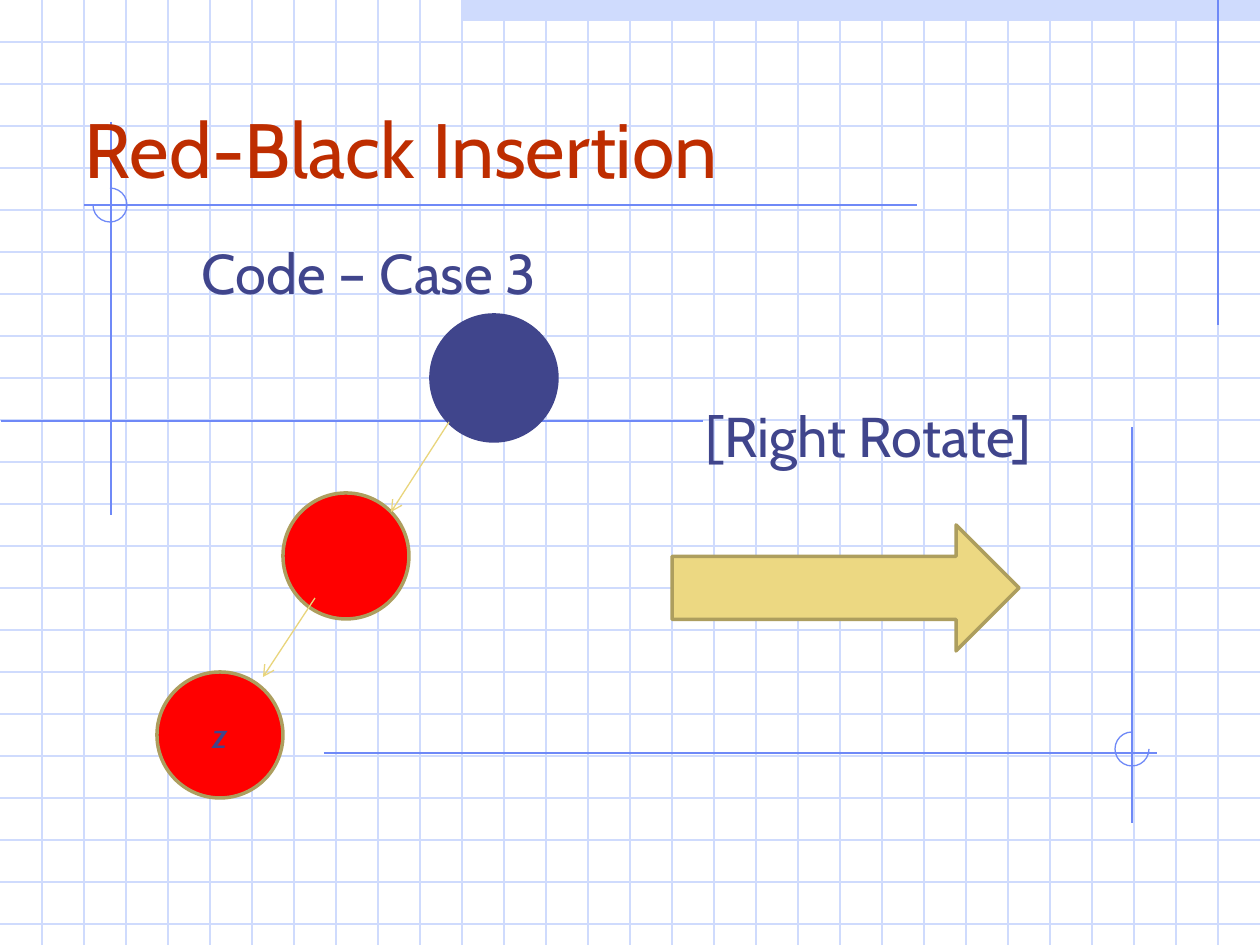
from pptx import Presentation
from pptx import util as u
from pptx.dml.color import RGBColor
from pptx.enum import shapes, text
from pptx.oxml import parse_xml
from pptx.oxml.ns import nsdecls, qn

SCALE = 914400 / 126
WIDTH, HEIGHT, GRID = 1260, 945, 42
PALE, BLUE, NAVY = "CFDBFD", "6F89F7", "40458C"
RED, RUST, GOLD, OLIVE, SAND = "FF0000", "BE2D00", "E9D57C", "AD9E5E", "ECD882"


def px(length):
    return u.Emu(round(length * SCALE))


def color(value):
    return RGBColor.from_string(value)


class Board:
    font = "Cabin"
    hairline = 0.75
    outline = 2

    def __init__(self, slide):
        self.slide = slide

    def stroke(self, line, hue, width):
        line.color.rgb = color(hue)
        line.width = u.Pt(width)

    def add_words(self, frame, words, hue, **formats):
        frame.word_wrap = True
        run = frame.paragraphs[0].add_run()
        run.text = words
        run.font.color.rgb = color(hue)
        for name, value in {"name": self.font, **formats}.items():
            setattr(run.font, name, value)

    def label(self, words, box, hue, size, anchor=text.MSO_ANCHOR.TOP):
        frame = self.slide.shapes.add_textbox(*map(px, box)).text_frame
        sides = ("left", "top", "right", "bottom")
        for name, value in {f"margin_{side}": 0 for side in sides}.items():
            setattr(frame, name, value)
        frame.vertical_anchor = anchor
        self.add_words(frame, words, hue, size=u.Pt(size))

    def line(self, start, end, hue, arrow=False):
        rule = self.slide.shapes.add_connector(
            shapes.MSO_CONNECTOR.STRAIGHT, *map(px, start + end))
        self.stroke(rule.line, hue, self.hairline)
        if arrow:
            rule.line._get_or_add_ln().append(
                parse_xml(f'<a:tailEnd {nsdecls("a")} type="arrow"/>'))
        properties = rule._element.find(qn("p:spPr"))
        properties.append(parse_xml(f'<a:effectLst {nsdecls("a")}/>'))

    def shape(self, kind, box, fill=None, edge=None, width=outline):
        figure = self.slide.shapes.add_shape(kind, *map(px, box))
        figure.shadow.inherit = False
        if fill:
            figure.fill.solid()
            figure.fill.fore_color.rgb = color(fill)
        else:
            figure.fill.background()
        if edge:
            self.stroke(figure.line, edge, width)
        else:
            figure.line.fill.background()
        return figure

    def arc(self, left, top, size, start, end):
        curve = self.shape(shapes.MSO_SHAPE.ARC, (left, top, size, size),
                           edge=BLUE, width=self.hairline)
        for index, degrees in enumerate((start, end)):
            curve.adjustments[index] = degrees * 0.6

    def node(self, left, top, fill, edge, key=None):
        circle = self.shape(shapes.MSO_SHAPE.OVAL, (left, top, 126, 126), fill, edge)
        if key:
            frame = circle.text_frame
            frame.vertical_anchor = text.MSO_ANCHOR.MIDDLE
            frame.paragraphs[0].alignment = text.PP_ALIGN.CENTER
            self.add_words(frame, key, NAVY, size=u.Pt(20), italic=True)


def draw_backdrop(board):
    board.shape(shapes.MSO_SHAPE.RECTANGLE, (462, 0, 798, 21), PALE)
    for y in range(GRID, HEIGHT, GRID):
        board.line((0, y), (WIDTH, y), PALE)
    for x in range(GRID, WIDTH, GRID):
        board.line((x, 0), (x, HEIGHT), PALE)
    for start, end in (
        ((1218, 0), (1218, 325)),
        ((111, 122), (111, 515)),
        ((703, 421), (1, 421)),
        ((917, 205), (84, 205)),
        ((324, 753), (1157, 753)),
        ((1132, 427), (1132, 823)),
    ):
        board.line(start, end, BLUE)
    board.arc(93, 188, 34, 270, 180)
    board.arc(1115, 732, 34, 0, 270)


def draw_rotation(board):
    board.label("Red-Black Insertion", (85, 59, 1046, 135), RUST, 44,
                text.MSO_ANCHOR.BOTTOM)
    board.label("Code – Case 3", (202, 238, 500, 68), NAVY, 32)
    board.label("[Right Rotate]", (706, 401, 400, 68), NAVY, 32)
    board.node(431, 315, NAVY, NAVY)
    board.node(283, 493, RED, OLIVE)
    board.line((449, 422), (391, 512), GOLD, arrow=True)
    board.node(157, 672, RED, OLIVE, "z")
    board.line((315, 598), (263, 677), GOLD, arrow=True)
    board.shape(shapes.MSO_SHAPE.RIGHT_ARROW, (672, 525, 347, 126), SAND, OLIVE)


def main():
    deck = Presentation()
    deck.slide_width, deck.slide_height = px(WIDTH), px(HEIGHT)
    board = Board(deck.slides.add_slide(deck.slide_layouts[6]))
    draw_backdrop(board)
    draw_rotation(board)
    deck.save("out.pptx")


if __name__ == "__main__":
    main()
